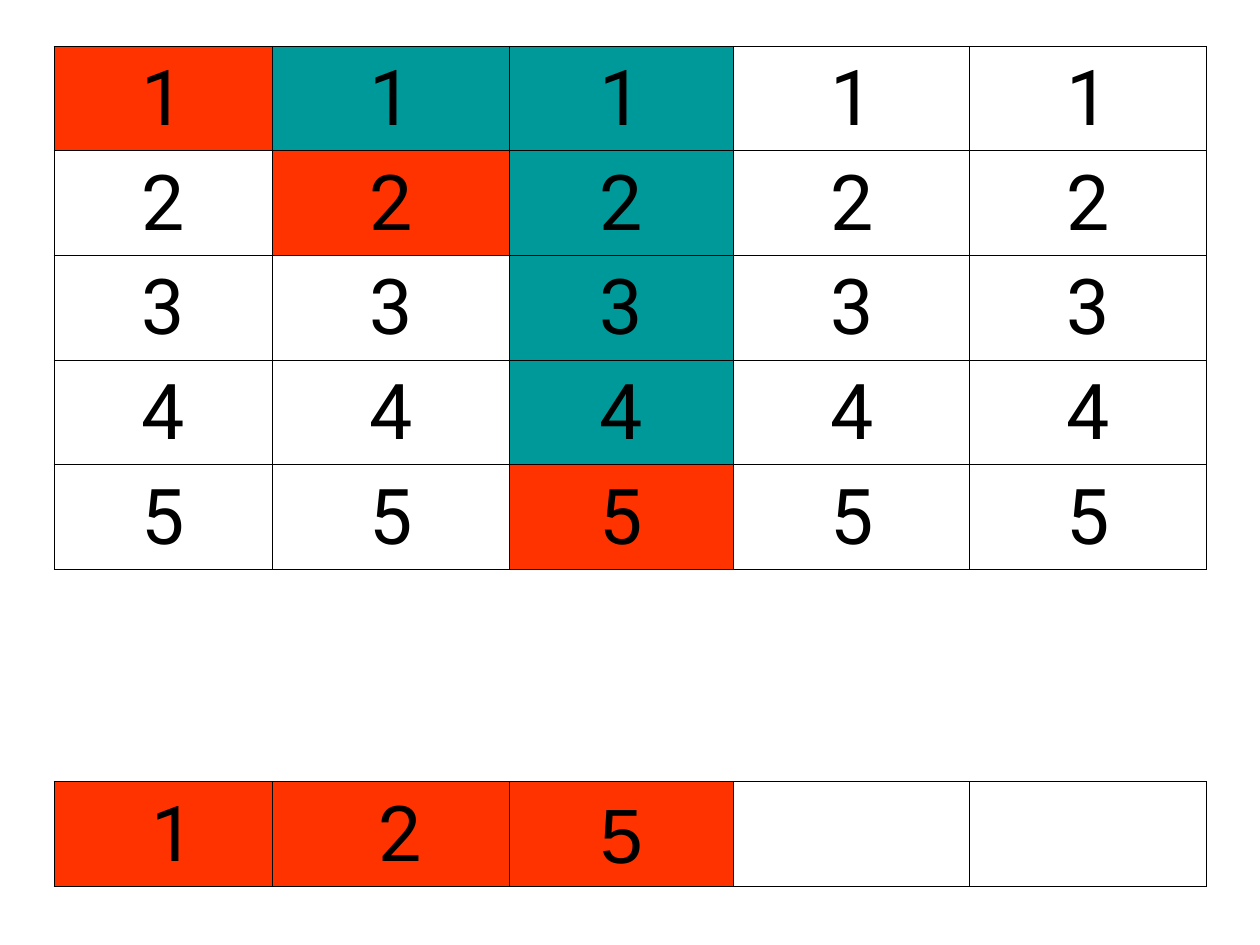
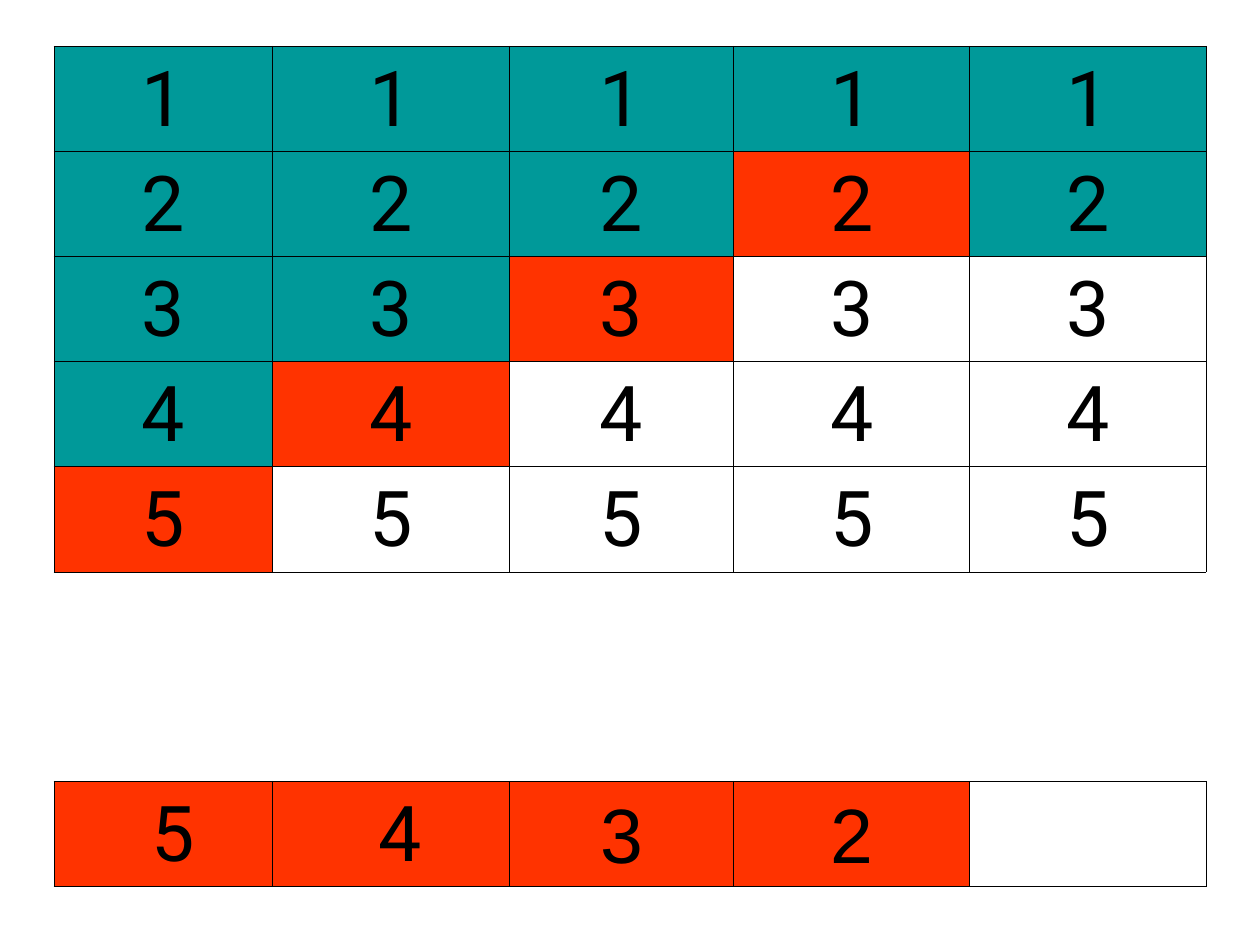
from dataclasses import dataclass

from lxml import etree
from pptx import Presentation
from pptx.dml.color import RGBColor
from pptx.enum import text
from pptx.oxml import ns
from pptx.util import Cm, Pt

# One (crossed-out values, chosen value) pair per column.
STEPS = [
    {"row_height": 2.11, "columns": [(0, 1), (1, 2), (4, 5), (0, None), (0, None)]},
    {"row_height": 2.12, "columns": [(4, 5), (3, 4), (2, 3), (1, 2), (2, None)]},
]
VALUES = [1, 2, 3, 4, 5]
COLUMN_WIDTHS = [4.4, 4.78, 4.52, 4.76, 4.76]
LEFT, TOP, TABLE_HEIGHT = 1.09, 0.93, 16.94
GAP_ROW = len(VALUES)
ANSWER_ROW = GAP_ROW + 1
INDENTED_ANSWERS = 2  # the first answers sit slightly right of centre


@dataclass(frozen=True)
class Theme:
    chosen: str = "FF3300"
    crossed: str = "009999"
    free: str = "FFFFFF"
    ink: str = "000000"
    font: str = "Roboto"
    answer_font: str = "Arial"
    size: float = 44
    border: float = 0.45
    indent: float = 0.39


THEME = Theme()


def draw_borders(cell, sides):
    """Rule the given sides (from L, R, T, B) and clear the others."""
    tc_pr = cell._tc.get_or_add_tcPr()
    for side in "LRTB":
        ln = etree.SubElement(tc_pr, ns.qn(f"a:ln{side}"), w=str(Pt(THEME.border)))
        if side in sides:
            fill = etree.SubElement(ln, ns.qn("a:solidFill"))
            etree.SubElement(fill, ns.qn("a:srgbClr"), val=THEME.ink)
        else:
            etree.SubElement(ln, ns.qn("a:noFill"))


def fill_cell(cell, value, color, font=THEME.font):
    draw_borders(cell, "LRTB")
    cell.fill.solid()
    cell.fill.fore_color.rgb = RGBColor.from_string(color)
    cell.vertical_anchor = text.MSO_ANCHOR.BOTTOM
    if value is None:
        return
    p = cell.text_frame.paragraphs[0]
    p.text = str(value)
    p.alignment = text.PP_ALIGN.CENTER
    r = p.runs[0]
    r.font.name = font
    r.font.size = Pt(THEME.size)
    r.font.color.rgb = RGBColor.from_string(THEME.ink)


def value_color(value, crossed, chosen):
    if value == chosen:
        return THEME.chosen
    return THEME.crossed if value <= crossed else THEME.free


def add_step(prs, step):
    s = prs.slides.add_slide(prs.slide_layouts[6])
    table = s.shapes.add_table(
        ANSWER_ROW + 1, len(COLUMN_WIDTHS), Cm(LEFT), Cm(TOP),
        Cm(sum(COLUMN_WIDTHS)), Cm(TABLE_HEIGHT)).table
    table.first_row = table.horz_banding = False

    for row in table.rows:
        row.height = Cm(step["row_height"])
    table.rows[GAP_ROW].height = Cm(TABLE_HEIGHT - ANSWER_ROW * step["row_height"])

    for col, (width, (crossed, chosen)) in enumerate(zip(COLUMN_WIDTHS, step["columns"])):
        table.columns[col].width = Cm(width)
        for row, value in enumerate(VALUES):
            fill_cell(table.cell(row, col), value, value_color(value, crossed, chosen))

        gap = table.cell(GAP_ROW, col)
        draw_borders(gap, "TB")
        gap.fill.background()

        answer = table.cell(ANSWER_ROW, col)
        indented = col < INDENTED_ANSWERS
        fill_cell(answer, chosen, THEME.chosen if chosen else THEME.free,
                  THEME.font if indented else THEME.answer_font)
        if indented:
            answer.margin_left += Cm(THEME.indent)


def main():
    prs = Presentation()
    prs.slide_width, prs.slide_height = Cm(25.4), Cm(19.05)
    for step in STEPS:
        add_step(prs, step)
    prs.save("out.pptx")


if __name__ == "__main__":
    main()
